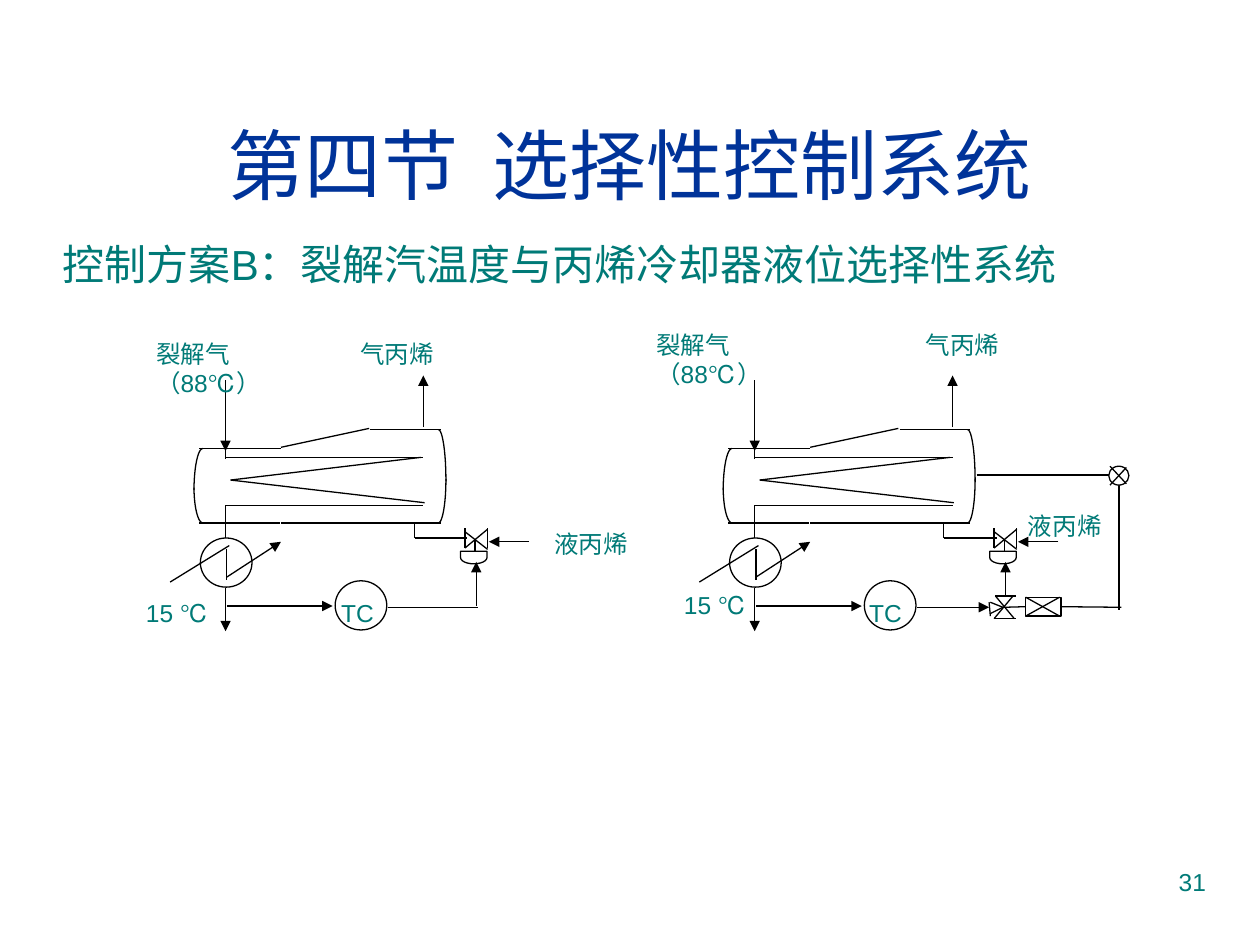
from lxml.etree import SubElement
from pptx import Presentation
from pptx.dml.color import RGBColor
from pptx.enum.shapes import MSO_CONNECTOR, MSO_SHAPE
from pptx.enum.text import MSO_ANCHOR, PP_ALIGN
from pptx.oxml.ns import qn
from pptx.util import Inches, Pt

BLACK = RGBColor(0x00, 0x00, 0x00)
WHITE = RGBColor(0xFF, 0xFF, 0xFF)
BLUE = RGBColor(0x00, 0x33, 0x99)
TEAL = RGBColor(0x00, 0x7A, 0x77)

TITLE = "第四节  选择性控制系统"
SUBTITLE = "控制方案B：裂解汽温度与丙烯冷却器液位选择性系统"
PAGE_NUMBER = "31"

LABELS = [
    ("裂解气（88℃）", 1.6, 0.57, [(1.14, 2.64), (5.11, 2.57)]),
    ("气丙烯", 0.81, 0.34, [(2.76, 2.64), (7.25, 2.57)]),
    ("液丙烯", 0.81, 0.34, [(4.3, 4.15), (8.06, 4.01)]),
    ("15 ℃", 0.81, 0.34, [(1.06, 4.7), (5.33, 4.63)]),
    ("TC", 0.66, 0.34, [(2.61, 4.7), (6.8, 4.7)]),
]

UNIT_OFFSETS = [0, 4.2]

VESSEL_LINES = [
    (2.22, 4.15, 1.58, 4.15), (2.23, 3.56, 1.58, 3.56),
    (2.95, 4.15, 3.5, 4.15), (2.94, 3.41, 3.5, 3.41),
    (2.23, 4.15, 3, 4.15), (2.93, 3.4, 2.23, 3.55),
]
VESSEL_ENDS = [
    (1.54, 3.87, 1.61, 4.15), (1.54, 3.89, 1.61, 3.56),
    (3.54, 3.8, 3.48, 4.15), (3.54, 3.82, 3.48, 3.41),
]
COIL_LINES = [
    (1.79, 3.55, 1.79, 3.64), (1.79, 3.63, 3.36, 3.63),
    (1.79, 4.01, 3.36, 4.01), (1.83, 3.81, 3.34, 3.63),
    (1.83, 3.81, 3.37, 3.99), (1.79, 4.01, 1.79, 4.29),
]
CIRCLES = [(1.59, 4.27, 0.41, 0.39), (2.66, 4.61, 0.41, 0.39)]
HEATER_LINES = [(1.35, 4.62, 1.82, 4.33), (1.8, 4.36, 1.8, 4.6)]
VALVE_LINES = [
    (3.87, 4.35, 3.87, 4.19), (3.69, 4.35, 3.69, 4.19),
    (3.87, 4.36, 3.69, 4.22), (3.69, 4.35, 3.87, 4.2),
    (3.77, 4.28, 3.77, 4.42),
    (3.29, 4.15, 3.29, 4.27), (3.29, 4.27, 3.71, 4.27),
]
VALVE_ACTUATOR = (3.71, 4.32, 0.1, 0.21)
FLOW_ARROWS = [
    (1.79, 3.02, 1.79, 3.58), (1.8, 4.58, 2.23, 4.3),
    (1.79, 4.67, 1.79, 5.01), (1.8, 4.81, 2.64, 4.81),
    (4.2, 4.3, 3.88, 4.3), (3.36, 3.39, 3.36, 2.98),
]

SINGLE_LOOP_LINE = (3.08, 4.82, 3.79, 4.82)
SINGLE_LOOP_ARROW = (3.78, 4.81, 3.78, 4.46)

SELECTOR_ARROWS = [(7.28, 4.82, 7.85, 4.82), (7.98, 4.73, 7.98, 4.46)]
LEVEL_LINES = [(7.75, 3.77, 8.88, 3.77), (8.88, 3.77, 8.88, 4.84)]
LEVEL_TRANSMITTER = (8.8, 3.7, 0.16, 0.15)
LEVEL_CROSS = [(8.94, 3.71, 8.81, 3.85), (8.81, 3.7, 8.94, 3.84)]
THREE_WAY_VALVE_LINES = [
    (7.9, 4.91, 8.06, 4.91), (7.9, 4.73, 8.06, 4.73),
    (7.89, 4.91, 8.04, 4.73), (7.9, 4.73, 8.05, 4.91),
    (7.86, 4.78, 7.96, 4.82), (7.86, 4.87, 7.96, 4.82),
    (7.85, 4.78, 7.86, 4.89),
]
SWITCH = (8.14, 4.74, 0.28, 0.15)
SWITCH_CROSS = [(8.41, 4.74, 8.14, 4.89), (8.14, 4.74, 8.41, 4.89)]
SWITCH_OUTPUT = (7.97, 4.82, 8.14, 4.82)
SWITCH_INPUT = (8.42, 4.82, 8.9, 4.82)


def add_text(slide, text, left, top, width, height, size=14, color=TEAL,
             align=PP_ALIGN.LEFT, anchor=MSO_ANCHOR.TOP):
    box = slide.shapes.add_textbox(*map(Inches, (left, top, width, height)))
    frame = box.text_frame
    frame.word_wrap = True
    frame.vertical_anchor = anchor
    paragraph = frame.paragraphs[0]
    paragraph.alignment = align
    run = paragraph.add_run()
    run.text = text
    run.font.size = Pt(size)
    run.font.name = "Arial"
    run.font.color.rgb = color


def set_outline(shape):
    shape.line.color.rgb = BLACK
    shape.line.width = Pt(0.75)


def add_line(slide, points, offset=0, arrow=False):
    x1, y1, x2, y2 = points
    connector = slide.shapes.add_connector(
        MSO_CONNECTOR.STRAIGHT,
        *map(Inches, (x1 + offset, y1, x2 + offset, y2)))
    set_outline(connector)
    if arrow:
        SubElement(connector.line._get_or_add_ln(), qn("a:tailEnd"), type="triangle")
    SubElement(connector._element.spPr, qn("a:effectLst"))
    return connector


def add_lines(slide, lines, offset=0, arrow=False):
    for points in lines:
        add_line(slide, points, offset, arrow)


def add_preset(slide, preset, bounds, offset=0):
    left, top, width, height = bounds
    shape = slide.shapes.add_shape(
        preset, *map(Inches, (left + offset, top, width, height)))
    shape.shadow.inherit = False
    shape.fill.solid()
    shape.fill.fore_color.rgb = WHITE
    set_outline(shape)
    return shape


def add_vessel_end(slide, arc, offset):
    x1, y1, x2, y2 = arc
    points = []
    for step in range(13):
        t = step / 12
        bend_x = 1.35 * t * t * (1 - t) + t ** 3
        bend_y = 1.65 * t * (1 - t) ** 2 + 3 * t * t * (1 - t) + t ** 3
        points.append((Inches(x1 + offset + (x2 - x1) * bend_x),
                       Inches(y1 + (y2 - y1) * bend_y)))
    builder = slide.shapes.build_freeform(*points[0])
    builder.add_line_segments(points[1:], close=False)
    shape = builder.convert_to_shape()
    shape.shadow.inherit = False
    shape.fill.background()
    set_outline(shape)


def add_cooler_unit(slide, offset):
    add_lines(slide, VESSEL_LINES + COIL_LINES, offset)
    for arc in VESSEL_ENDS:
        add_vessel_end(slide, arc, offset)
    for bounds in CIRCLES:
        add_preset(slide, MSO_SHAPE.OVAL, bounds, offset)
    add_lines(slide, HEATER_LINES + VALVE_LINES, offset)
    actuator = add_preset(slide, MSO_SHAPE.FLOWCHART_DELAY, VALVE_ACTUATOR, offset)
    actuator.rotation = 90
    add_lines(slide, FLOW_ARROWS, offset, arrow=True)


def add_selector_loop(slide):
    add_lines(slide, SELECTOR_ARROWS, arrow=True)
    add_lines(slide, LEVEL_LINES)
    add_preset(slide, MSO_SHAPE.OVAL, LEVEL_TRANSMITTER)
    add_lines(slide, LEVEL_CROSS + THREE_WAY_VALVE_LINES)
    switch = add_preset(slide, MSO_SHAPE.RECTANGLE, SWITCH)
    add_line(slide, SWITCH_OUTPUT).end_connect(switch, 1)
    add_line(slide, SWITCH_INPUT).begin_connect(switch, 3)
    add_lines(slide, SWITCH_CROSS)


def main():
    presentation = Presentation()
    presentation.slide_width = Inches(10)
    presentation.slide_height = Inches(7.5)
    slide = presentation.slides.add_slide(presentation.slide_layouts[6])

    add_text(slide, PAGE_NUMBER, 7.17, 6.83, 2.5, 0.52, align=PP_ALIGN.RIGHT)
    add_text(slide, TITLE, 0.33, 0.67, 9.34, 1.25, 44, BLUE,
             PP_ALIGN.CENTER, MSO_ANCHOR.MIDDLE)
    add_text(slide, SUBTITLE, 0.4, 1.84, 9.27, 4.59, 24)

    for offset in UNIT_OFFSETS:
        add_cooler_unit(slide, offset)
    add_line(slide, SINGLE_LOOP_LINE)
    add_line(slide, SINGLE_LOOP_ARROW, arrow=True)
    add_selector_loop(slide)

    for text, width, height, places in LABELS:
        for left, top in places:
            add_text(slide, text, left, top, width, height)

    presentation.save("out.pptx")


if __name__ == "__main__":
    main()
